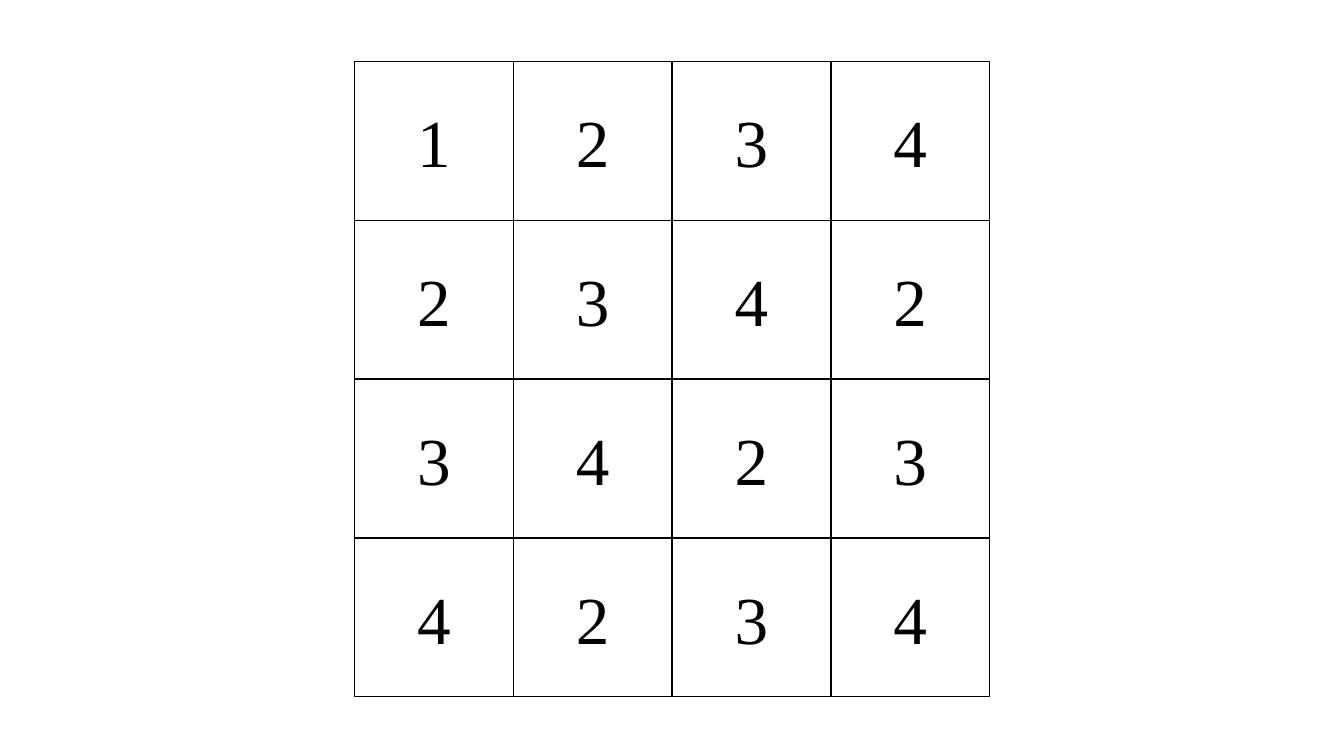
from dataclasses import dataclass

from pptx import Presentation
from pptx import util as u
from pptx.dml.color import RGBColor
from pptx.enum import shapes, text
from pptx.shapes.autoshape import Shape
from pptx.shapes.group import GroupShape

BLACK = RGBColor(0x00, 0x00, 0x00)
WHITE = RGBColor(0xFF, 0xFF, 0xFF)

LEFT, TOP, SIDE = 253.3, 44, 113.4
ROWS = ("1234", "2342", "3423", "4234")


@dataclass(frozen=True)
class Cell:
    row: int
    col: int
    digit: str


def write(shape: Shape, words: str, *, font: str, size: float,
          color: RGBColor) -> None:
    """Put centred text in the shape."""
    frame = shape.text_frame
    frame.word_wrap = True
    frame.vertical_anchor = text.MSO_ANCHOR.MIDDLE
    para = frame.paragraphs[0]
    para.alignment = text.PP_ALIGN.CENTER
    run = para.add_run()
    run.text = words
    run.font.name = font
    run.font.size = u.Pt(size)
    run.font.color.rgb = color


def draw_cell(group: GroupShape, cell: Cell) -> None:
    box = group.shapes.add_shape(
        shapes.MSO_SHAPE.RECTANGLE,
        u.Pt(LEFT + cell.col * SIDE), u.Pt(TOP + cell.row * SIDE),
        u.Pt(SIDE), u.Pt(SIDE))
    box.shadow.inherit = False
    box.fill.solid()
    box.fill.fore_color.rgb = WHITE
    box.line.color.rgb = BLACK
    box.line.width = u.Pt(1)
    write(box, cell.digit, font="Times New Roman", size=48, color=BLACK)


def main() -> None:
    deck = Presentation()
    deck.slide_width, deck.slide_height = u.Pt(960), u.Pt(540)
    slide = deck.slides.add_slide(deck.slide_layouts[6])
    grid = slide.shapes.add_group_shape()
    cells = [Cell(row, col, digit)
             for row, digits in enumerate(ROWS)
             for col, digit in enumerate(digits)]
    for cell in cells:
        draw_cell(grid, cell)
    deck.save("out.pptx")


if __name__ == "__main__":
    main()
